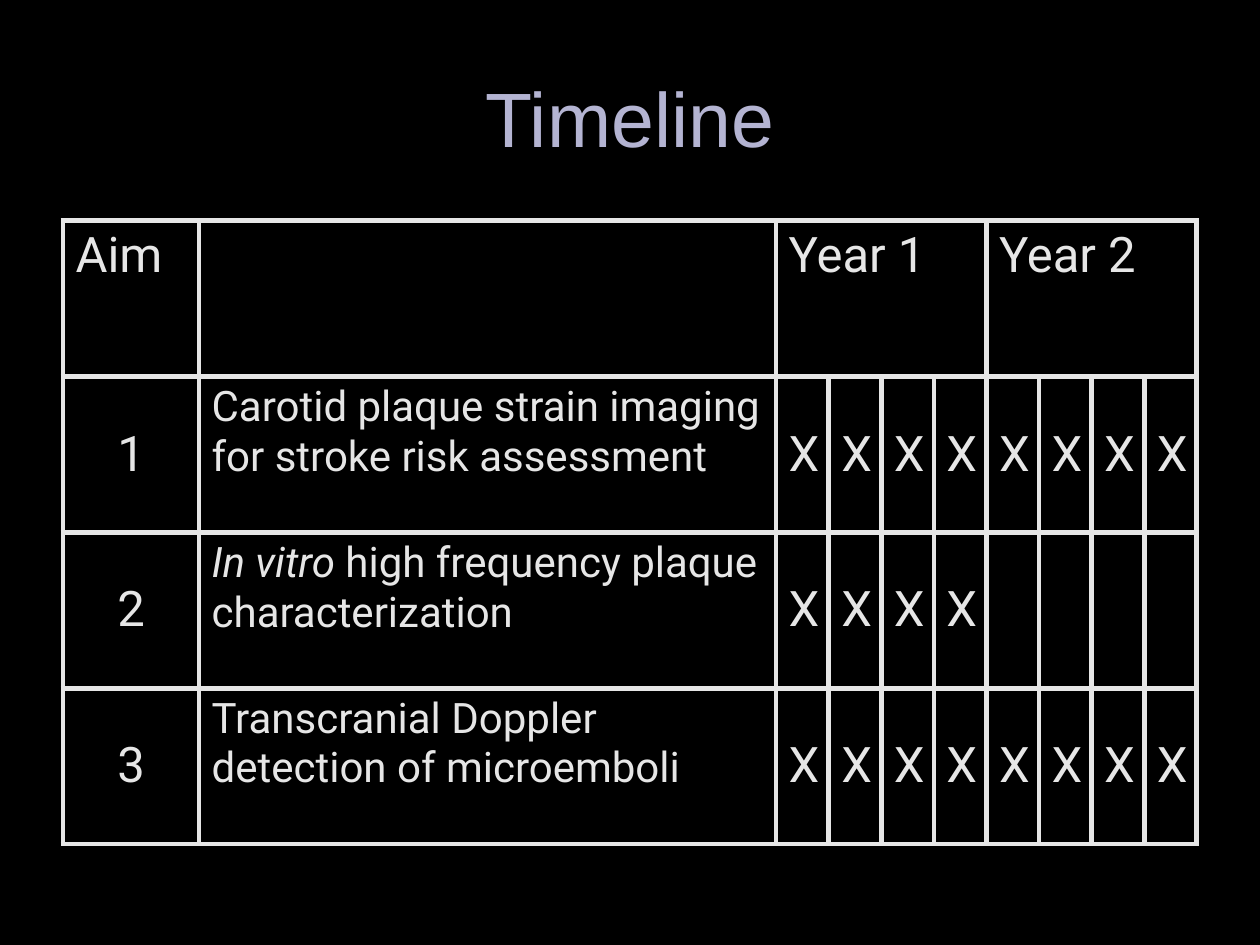
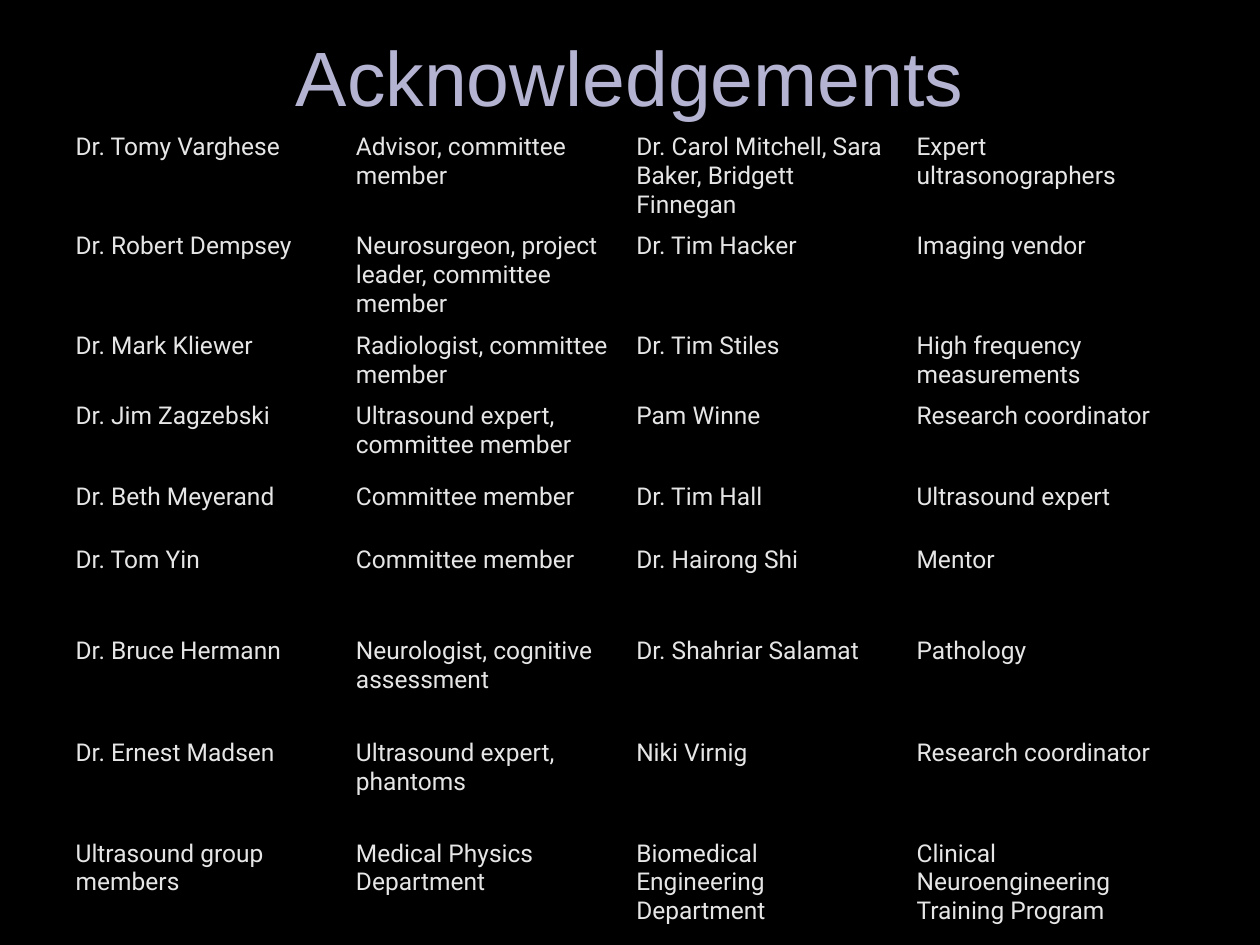
from lxml import etree
from pptx import Presentation
from pptx import util as u
from pptx.dml.color import RGBColor
from pptx.enum import text
from pptx.oxml.ns import qn

WIDTH, HEIGHT = u.Inches(10), u.Inches(7.5)
BLACK, LILAC, PALE = "000000", "B4B4D2", "E6E6E6"
TITLE_FONT, BODY_FONT = "Arial", "Roboto"
LEFT, TOP, MIDDLE = text.PP_ALIGN.LEFT, text.MSO_ANCHOR.TOP, text.MSO_ANCHOR.MIDDLE
CENTER = text.PP_ALIGN.CENTER

QUARTERS = 4
AIMS = [  # italic lead, description, active quarters
    ("", "Carotid plaque strain imaging for stroke risk assessment", 8),
    ("In vitro ", "high frequency plaque characterization", 4),
    ("", "Transcranial Doppler detection of microemboli", 8),
]

THANKS = [
    ("Dr. Tomy Varghese", "Advisor, committee member",
     "Dr. Carol Mitchell, Sara Baker, Bridgett Finnegan", "Expert ultrasonographers"),
    ("Dr. Robert Dempsey", "Neurosurgeon, project leader, committee member",
     "Dr. Tim Hacker", "Imaging vendor"),
    ("Dr. Mark Kliewer", "Radiologist, committee member",
     "Dr. Tim Stiles", "High frequency measurements"),
    ("Dr. Jim Zagzebski", "Ultrasound expert, committee member",
     "Pam Winne", "Research coordinator"),
    ("Dr. Beth Meyerand", "Committee member", "Dr. Tim Hall", "Ultrasound expert"),
    ("Dr. Tom Yin", "Committee member", "Dr. Hairong Shi", "Mentor"),
    ("Dr. Bruce Hermann", "Neurologist, cognitive assessment",
     "Dr. Shahriar Salamat", "Pathology"),
    ("Dr. Ernest Madsen", "Ultrasound expert, phantoms",
     "Niki Virnig", "Research coordinator"),
    ("Ultrasound group members", "Medical Physics Department",
     "Biomedical Engineering Department", "Clinical Neuroengineering Training Program"),
]
THANKS_ROWS = [0.76, 0.76, 0.54, 0.64, 0.5, 0.72, 0.81, 0.8, 0.8]


def color(value):
    return RGBColor.from_string(value)


def place(left, top, width, height):
    """Turn shares of the slide into a box."""
    return [round(share * side) for share, side in
            zip((left, top, width, height), (WIDTH, HEIGHT, WIDTH, HEIGHT))]


def write(frame, *runs, size=14, font=BODY_FONT, ink=PALE, align=LEFT, anchor=TOP):
    """Fill a frame with one paragraph; each run is a string or (string, italic)."""
    frame.vertical_anchor = anchor
    para = frame.paragraphs[0]
    para.alignment = align
    for run in runs:
        words, italic = (run, False) if isinstance(run, str) else run
        span = para.add_run()
        span.text = words
        span.font.size, span.font.name = u.Pt(size), font
        span.font.italic = italic
        span.font.color.rgb = color(ink)


def write_cell(cell, *runs, anchor=TOP, **style):
    write(cell.text_frame, *runs, anchor=anchor, **style)
    cell.vertical_anchor = anchor


def set_borders(cell, ink, points):
    properties = cell._tc.get_or_add_tcPr()
    for side in ("a:lnL", "a:lnR", "a:lnT", "a:lnB"):
        line = etree.SubElement(properties, qn(side), w=str(u.Pt(points)))
        if ink:
            fill = etree.SubElement(line, qn("a:solidFill"))
            etree.SubElement(fill, qn("a:srgbClr"), val=ink)
        else:
            etree.SubElement(line, qn("a:noFill"))


def add_grid(page, box, columns, rows, ink=None, points=0):
    """Add a plain table whose columns and rows share the box by weight."""
    left, top, width, height = box
    table = page.shapes.add_table(len(rows), len(columns), *box).table
    table.first_row = table.horz_banding = False
    for column, weight in zip(table.columns, columns):
        column.width = round(width * weight / sum(columns))
    for row, weight in zip(table.rows, rows):
        row.height = round(height * weight / sum(rows))
    for cell in table.iter_cells():
        set_borders(cell, ink, points)
        cell.fill.background()
    return table


def add_page(deck, title, box):
    page = deck.slides.add_slide(deck.slide_layouts[5])
    holder = page.shapes.title
    holder.left, holder.top, holder.width, holder.height = box
    holder.text_frame.auto_size = text.MSO_AUTO_SIZE.NONE
    write(holder.text_frame, title, size=44, font=TITLE_FONT, ink=LILAC,
          align=CENTER, anchor=MIDDLE)
    return page


def add_timeline(page, box):
    quarter = (9 - 1.08 - 4.58) / (2 * QUARTERS)
    columns = [1.08, 4.58] + [quarter] * (2 * QUARTERS)
    table = add_grid(page, box, columns, [1] * (len(AIMS) + 1), ink=PALE, points=3)

    # Heading row, with one merged cell per year
    write_cell(table.cell(0, 0), "Aim", size=28)
    for year in range(2):
        first = 2 + year * QUARTERS
        table.cell(0, first).merge(table.cell(0, first + QUARTERS - 1))
        write_cell(table.cell(0, first), f"Year {year + 1}", size=28)

    # One row per aim, with a mark in each active quarter
    for number, (lead, description, active) in enumerate(AIMS, 1):
        write_cell(table.cell(number, 0), str(number), size=28, align=CENTER, anchor=MIDDLE)
        runs = [(lead, True), description] if lead else [description]
        write_cell(table.cell(number, 1), *runs, size=24)
        for column in range(2, 2 + active):
            write_cell(table.cell(number, column), "X", size=28, anchor=MIDDLE)


def add_thanks(page, box):
    table = add_grid(page, box, [1] * 4, THANKS_ROWS)
    for cell, words in zip(table.iter_cells(), (entry for row in THANKS for entry in row)):
        write_cell(cell, words)


def main():
    deck = Presentation()
    deck.slide_width, deck.slide_height = WIDTH, HEIGHT
    backdrop = deck.slide_master.background.fill
    backdrop.solid()
    backdrop.fore_color.rgb = color(BLACK)

    timeline = add_page(deck, "Timeline", place(0.05, 0.04, 0.9, 1 / 6))
    add_timeline(timeline, place(0.05, 1.75 / 7.5, 0.9, 0.66))

    thanks = add_page(deck, "Acknowledgements", place(0.05, 0.03, 0.9, 0.1))
    add_thanks(thanks, place(0.05, 1 / 7.5, 0.89, sum(THANKS_ROWS) / 7.5))

    deck.save("out.pptx")


if __name__ == "__main__":
    main()
